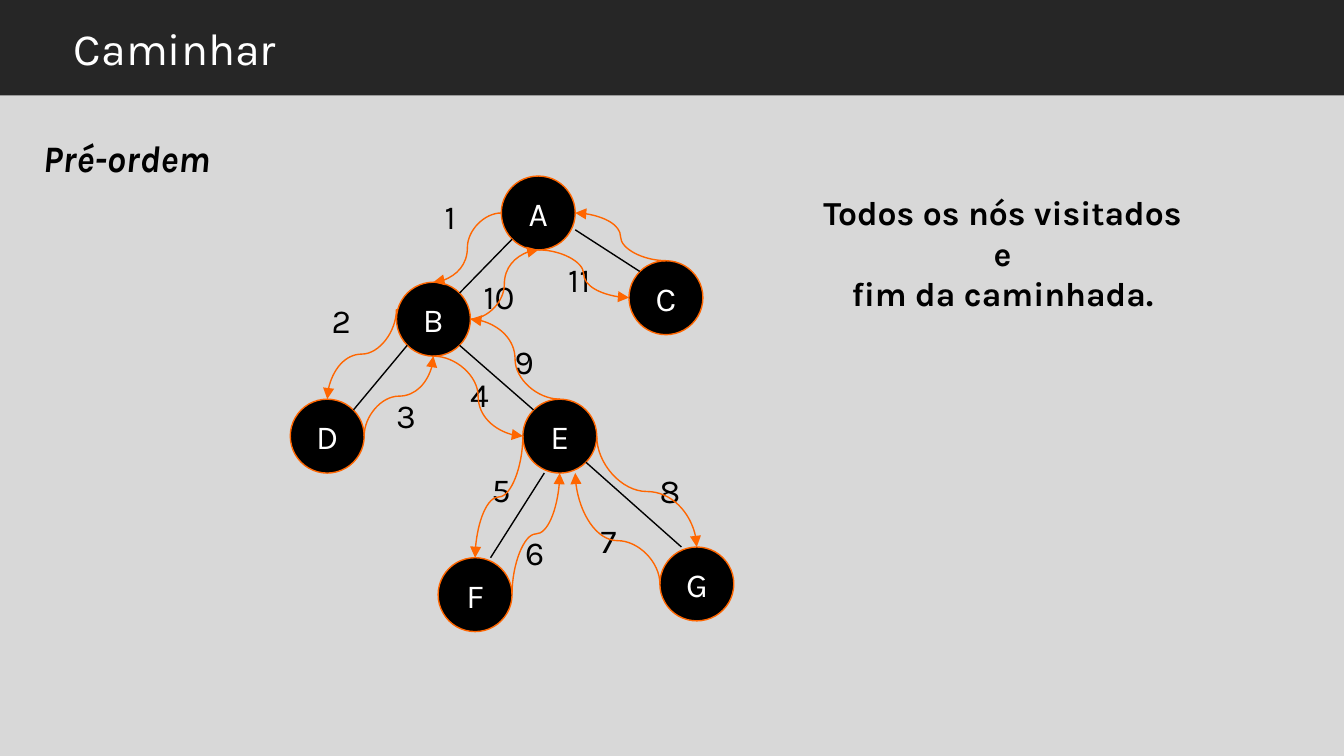
import lxml.etree
import pptx
import pptx.dml.color
import pptx.enum.shapes
import pptx.enum.text
import pptx.oxml.ns
import pptx.util

EMU_PER_PX = 9144  # 100 px to the inch
WIDTH = 1000
HEADER_HEIGHT = 71
NODE_SIZE = 55
MIDDLE = NODE_SIZE / 2

NODES = {"A": (373, 131), "B": (295, 210), "D": (216, 297), "C": (468, 194),
         "E": (389, 297), "F": (326, 415), "G": (491, 407)}

# Where a line may touch a node, measured from the node's top left corner
PORTS = {
    "left": (0, MIDDLE), "right": (NODE_SIZE, MIDDLE),
    "top": (MIDDLE, 0), "bottom": (MIDDLE, NODE_SIZE),
    "northwest": (8, 8), "northeast": (47, 8),
    "southwest": (8, 47), "southeast": (47, 47),
    "upper left": (0, 20), "lower right": (NODE_SIZE, 40),
    "top left": (16, 0), "top right": (39, 0),
    "bottom left": (16, NODE_SIZE), "bottom right": (39, NODE_SIZE),
}

EDGES = [
    ("A", "southwest", "B", "northeast"),
    ("B", "southwest", "D", "northeast"),
    ("A", "lower right", "C", "northwest"),
    ("B", "southeast", "E", "northwest"),
    ("E", "bottom left", "F", "top right"),
    ("E", "southeast", "G", "top left"),
]

# Label, label box (left, top, width), start, end, bend position
STEPS = [
    ("1", (321, 141, 41), ("A", "left"), ("B", "top"), 0.5),
    ("2", (237, 218, 34), ("B", "upper left"), ("D", "top"), 0.5),
    ("3", (285, 289, 34), ("D", "right"), ("B", "bottom"), 0.5),
    ("4", (340, 273, 34), ("B", "bottom"), ("E", "left"), 0.5),
    ("5", (356, 344, 34), ("E", "left"), ("F", "top"), 0.5),
    ("6", (381, 391, 34), ("F", "right"), ("E", "bottom"), 0.5),
    ("7", (437, 382, 34), ("G", "left"), ("E", "bottom right"), 0.39),
    ("8", (481, 345, 34), ("E", "right"), ("G", "top"), 0.5),
    ("9", (373, 249, 34), ("E", "top"), ("B", "right"), 0.5),
    ("10", (350, 200, 59), ("B", "right"), ("A", "bottom"), 0.5),
    ("11", (413, 188, 73), ("A", "bottom"), ("C", "left"), 0.5),
    (None, None, ("C", "top"), ("A", "right"), 0.5),
]
# Walks that leave their node vertically
VERTICAL_STEPS = {"2", "3", "5", "6", "7", "8"}


def px(value):
    return pptx.util.Emu(round(value * EMU_PER_PX))


def color(hex_code):
    return pptx.dml.color.RGBColor.from_string(hex_code)


def port(node, name):
    return tuple(a + b for a, b in zip(NODES[node], PORTS[name]))


class TreeSlide:
    font = "Karla"
    ink = "000000"
    paper = "FFFFFF"
    accent = "FF6600"
    header = "262626"
    background = "D8D8D8"

    def __init__(self, presentation):
        self.slide = presentation.slides.add_slide(presentation.slide_layouts[5])
        self.slide.background.fill.solid()
        self.slide.background.fill.fore_color.rgb = color(self.background)
        self.shapes = self.slide.shapes

    def set_lines(self, frame, lines, size=18, ink=ink, bold=False, italic=False,
                  align="LEFT", anchor="TOP", insets=(10, 5)):
        frame.word_wrap = True
        frame.auto_size = pptx.enum.text.MSO_AUTO_SIZE.NONE
        frame.vertical_anchor = pptx.enum.text.MSO_ANCHOR[anchor]
        frame.margin_left = frame.margin_right = px(insets[0])
        frame.margin_top = frame.margin_bottom = px(insets[1])
        for index, line in enumerate(lines):
            paragraph = frame.add_paragraph() if index else frame.paragraphs[0]
            paragraph.alignment = pptx.enum.text.PP_ALIGN[align]
            run = paragraph.add_run()
            run.text = line
            run.font.name = self.font
            run.font.size = pptx.util.Pt(size)
            run.font.bold = bold
            run.font.italic = italic
            run.font.color.rgb = color(ink)

    def shape(self, parent, kind, box, fill):
        shape = parent.add_shape(pptx.enum.shapes.MSO_SHAPE[kind], *map(px, box))
        shape.shadow.inherit = False
        shape.fill.solid()
        shape.fill.fore_color.rgb = color(fill)
        return shape

    def title(self, text):
        bar = self.shape(self.shapes, "RECTANGLE", (0, 0, WIDTH, HEADER_HEIGHT), self.header)
        bar.line.fill.background()
        title = self.shapes.title
        title._element.addprevious(bar._element)
        title.left, title.top, title.width, title.height = map(px, (45, 0, 905, HEADER_HEIGHT))
        self.set_lines(title.text_frame, [text], size=24, ink=self.paper,
                       anchor="MIDDLE", insets=(10, 10))

    def text(self, box, lines, **style):
        self.set_lines(self.shapes.add_textbox(*map(px, box)).text_frame, lines, **style)

    def node(self, parent, name):
        circle = self.shape(parent, "OVAL", (*NODES[name], NODE_SIZE, NODE_SIZE), self.ink)
        circle.line.color.rgb = color(self.accent)
        circle.line.width = pptx.util.Pt(0.75)
        self.set_lines(circle.text_frame, [name], ink=self.paper,
                       align="CENTER", anchor="MIDDLE")

    def connector(self, parent, kind, start, end, ink):
        line = parent.add_connector(pptx.enum.shapes.MSO_CONNECTOR[kind], *map(px, start + end))
        line.line.color.rgb = color(ink)
        line.line.width = pptx.util.Pt(0.75)
        lxml.etree.SubElement(line._element.spPr, pptx.oxml.ns.qn("a:effectLst"))
        return line

    def walk(self, start, end, bend, vertical):
        """Draw a curved arrow; a vertical one is laid flat, then turned a quarter."""
        (x1, y1), (x2, y2) = start, end
        down = y2 > y1
        if vertical:
            center_x, center_y = (x1 + x2) / 2, (y1 + y2) / 2
            half_run = abs(y2 - y1) / 2
            half_rise = (x1 - x2 if down else x2 - x1) / 2
            start = (center_x - half_run, center_y - half_rise)
            end = (center_x + half_run, center_y + half_rise)
        arrow = self.connector(self.shapes, "CURVE", start, end, self.accent)
        properties = arrow._element.spPr
        if vertical:
            properties.xfrm.set("rot", str((90 if down else 270) * 60000))
        adjustments = properties.find(".//" + pptx.oxml.ns.qn("a:avLst"))
        lxml.etree.SubElement(adjustments, pptx.oxml.ns.qn("a:gd"),
                              name="adj1", fmla=f"val {round(bend * 100000)}")
        lxml.etree.SubElement(properties.find(pptx.oxml.ns.qn("a:ln")),
                              pptx.oxml.ns.qn("a:tailEnd"), type="triangle")


def main():
    presentation = pptx.Presentation()
    presentation.slide_width = px(WIDTH)
    presentation.slide_height = px(WIDTH * 9 / 16)

    page = TreeSlide(presentation)
    page.title("Caminhar")
    page.text((22, 82, 300, 71), ["Pré-ordem"], size=20, bold=True, italic=True,
              anchor="MIDDLE", insets=(10, 10))

    tree = page.shapes.add_group_shape().shapes
    for name in NODES:
        page.node(tree, name)
    for parent, leaving, child, arriving in EDGES:
        page.connector(tree, "STRAIGHT", port(parent, leaving), port(child, arriving), page.ink)

    page.text((596, 139, 300, 98), ["Todos os nós visitados", "e", "fim da caminhada."],
              bold=True, align="CENTER", insets=(7, 4))

    for label, place, start, end, bend in STEPS:
        if label:
            page.text((*place, 38), [label])
        page.walk(port(*start), port(*end), bend, label in VERTICAL_STEPS)

    presentation.save("out.pptx")


if __name__ == "__main__":
    main()
